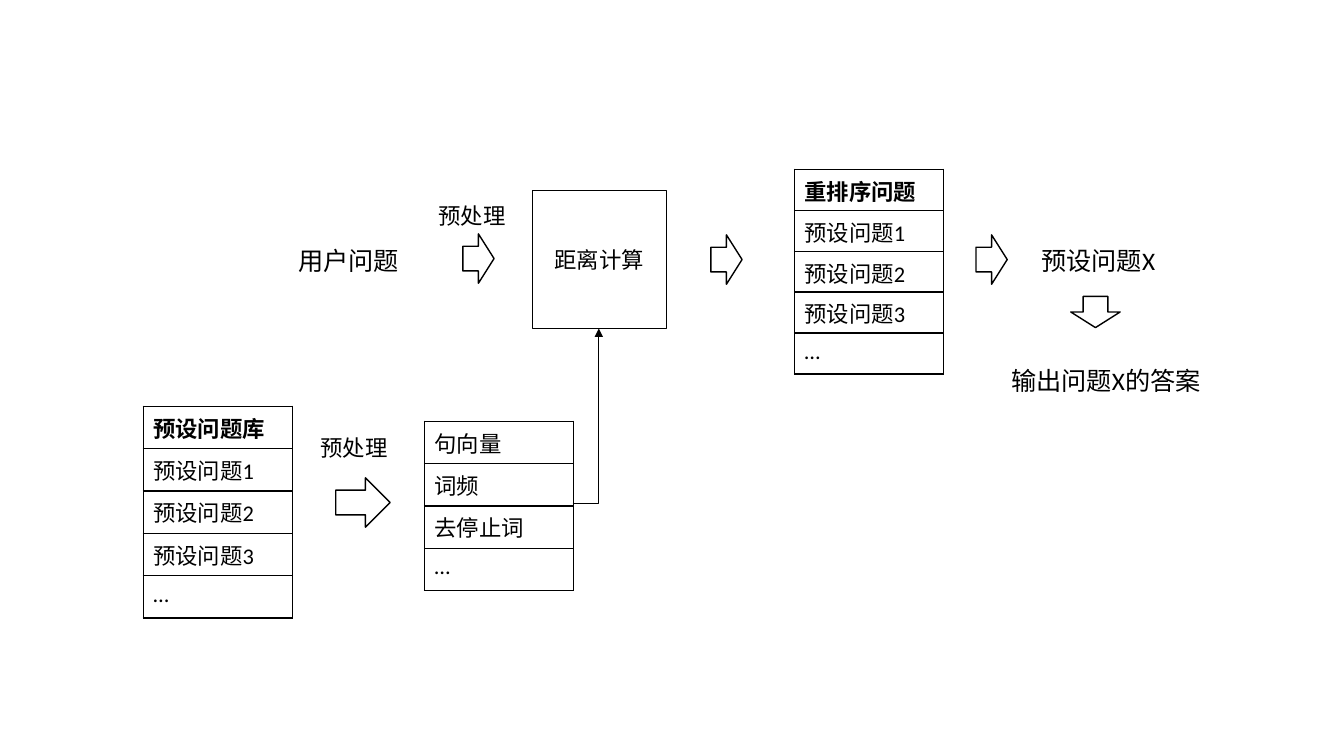
import pptx
import pptx.util
import pptx.dml.color
import pptx.enum.shapes
import pptx.enum.text
import pptx.oxml
import pptx.oxml.ns

CELL = 0.1  # one grid column or row, in inches
INK, PAPER = "000000", "FFFFFF"
SHAPE = pptx.enum.shapes.MSO_SHAPE
ALIGN = pptx.enum.text.PP_ALIGN
qn = pptx.oxml.ns.qn


def unit(num):
    return pptx.util.Inches(num * CELL)


def color(hex):
    return pptx.dml.color.RGBColor.from_string(hex)


def node(xml):
    return pptx.oxml.parse_xml(xml.replace(">", f" {pptx.oxml.ns.nsdecls('a')}>", 1))


class Board:
    font, size = "Calibri", 16

    def __init__(self, slide):
        self.items = slide.shapes

    def words(self, frame, text, size=None, bold=False, align=ALIGN.LEFT):
        frame.text = text
        for para in frame.paragraphs:
            para.alignment = align
            for run in para.runs:
                run.font.name = self.font
                run.font.size = pptx.util.Pt(size or self.size)
                run.font.bold = bold
                run.font.color.rgb = color(INK)

    def label(self, left, top, wide, high, text, size=None):
        box = self.items.add_textbox(*map(unit, (left, top, wide, high)))
        box.text_frame.word_wrap = True
        box.text_frame.auto_size = pptx.enum.text.MSO_AUTO_SIZE.SHAPE_TO_FIT_TEXT
        self.words(box.text_frame, text, size)

    def shape(self, kind, left, top, wide, high, turn=0):
        item = self.items.add_shape(kind, *map(unit, (left, top, wide, high)))
        item.shadow.inherit = False
        item.rotation = turn
        item.fill.solid()
        item.fill.fore_color.rgb = color(PAPER)
        item.line.color.rgb = color(INK)
        item.line.width = pptx.util.Pt(1)
        return item

    def block(self, left, top, wide, high, text):
        item = self.shape(SHAPE.RECTANGLE, left, top, wide, high)
        item.text_frame.vertical_anchor = pptx.enum.text.MSO_ANCHOR.MIDDLE
        self.words(item.text_frame, text, align=ALIGN.CENTER)

    def arrow(self, left, top, wide=3.1, turn=0):
        self.shape(SHAPE.RIGHT_ARROW, left, top, wide, 4.9, turn)

    def table(self, left, top, step, rows, head=False, wide=14.8):
        frame = self.items.add_table(
            len(rows), 1, *map(unit, (left, top, wide, step * len(rows))))
        grid = frame.table
        grid.first_row = head
        grid.horz_banding = False
        for pos, text in enumerate(rows):
            grid.rows[pos].height = unit(step)
            cell = grid.cell(pos, 0)
            self.words(cell.text_frame, text, bold=head and pos == 0)
            self.border(cell)
            cell.fill.solid()
            cell.fill.fore_color.rgb = color(PAPER)

    def border(self, cell):
        props = cell._tc.get_or_add_tcPr()
        for side in "LRTB":
            props.append(node(
                f'<a:ln{side} w="12700"><a:solidFill><a:srgbClr val="{INK}"/>'
                f'</a:solidFill></a:ln{side}>'))

    def elbow(self, *ends):
        link = self.items.add_connector(
            pptx.enum.shapes.MSO_CONNECTOR.ELBOW, *map(unit, ends))
        link.line.color.rgb = color(INK)
        link.line.width = pptx.util.Pt(0.5)
        props = link._element.spPr
        props.find(qn("a:prstGeom")).set("prst", "bentConnector2")
        props.find(qn("a:ln")).append(node('<a:tailEnd type="triangle"></a:tailEnd>'))
        props.append(node("<a:effectLst></a:effectLst>"))


deck = pptx.Presentation()
deck.slide_width = pptx.util.Inches(13.33)
deck.slide_height = pptx.util.Inches(7.5)
board = Board(deck.slides.add_slide(deck.slide_layouts[6]))

# Preset questions and their features
preset = [f"预设问题{num}" for num in (1, 2, 3)] + ["…"]
board.table(14.2, 40.3, 4.2, ["预设问题库"] + preset, head=True)
board.label(30.8, 42.6, 8.8, 3.7, "预处理")
board.arrow(33.3, 47.4, wide=5.4)
board.table(42.1, 41.8, 4.2, ["句向量", "词频", "去停止词", "…"])

# User question and distance
board.label(28.6, 23.8, 12.1, 4, "用户问题", 18)
board.label(42.5, 19.6, 8.8, 3.7, "预处理")
board.arrow(45.9, 23.2)
board.block(52.8, 18.9, 13.3, 13.7, "距离计算")
board.elbow(56.8, 49.9, 59.4, 32.6)

# Ranked questions and answer
board.arrow(70.5, 23.3)
board.table(78.8, 16.8, 4.06, ["重排序问题"] + preset, head=True)
board.arrow(96.8, 23.3)
board.label(102.3, 23.8, 13.4, 4, "预设问题X", 18)
board.arrow(107.1, 28.5, turn=90)
board.label(99.3, 35.8, 21, 4, "输出问题X的答案", 18)

deck.save("out.pptx")
